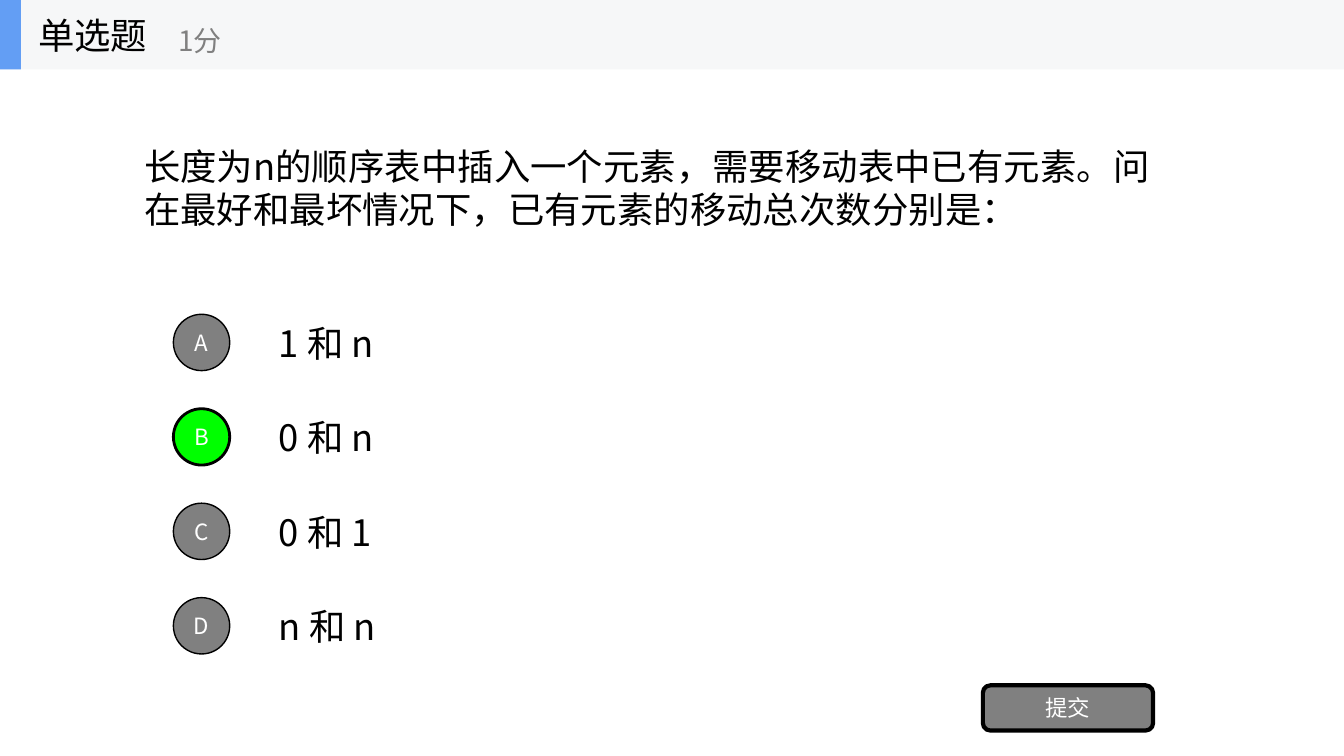
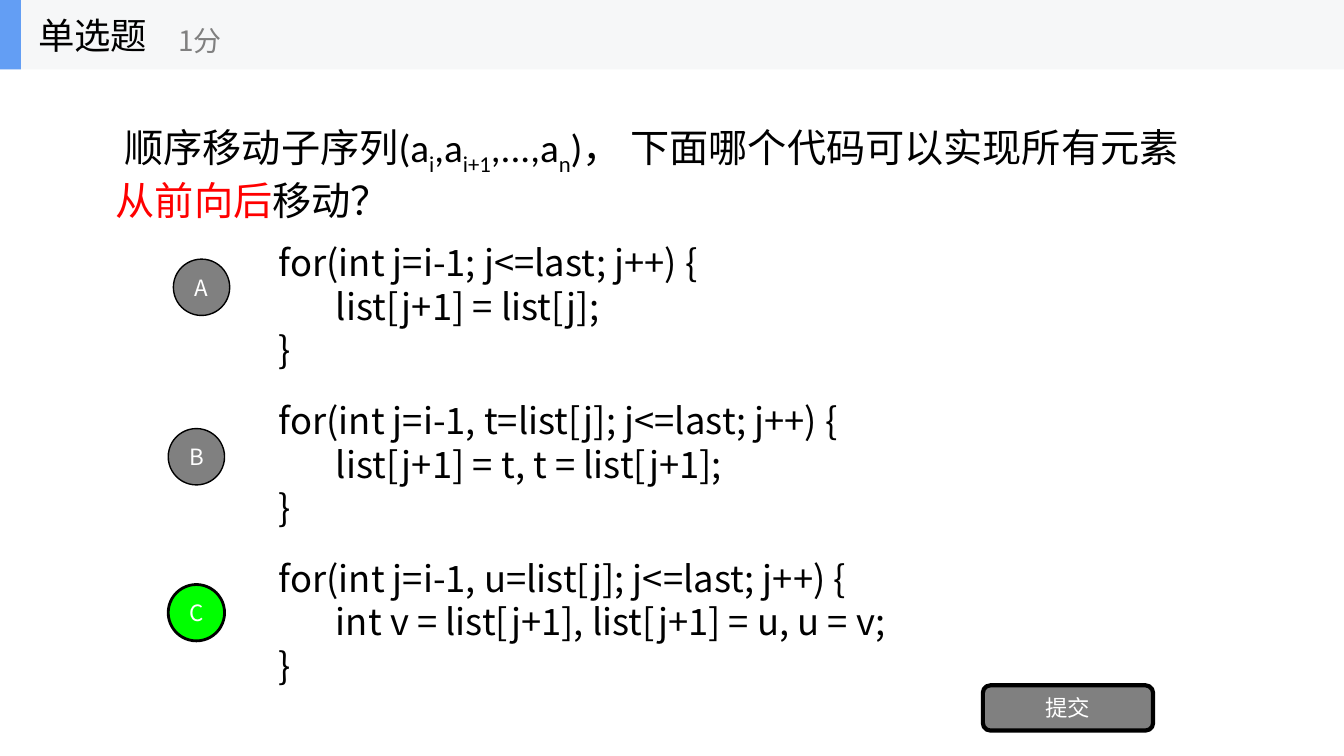
from lxml import etree
from pptx import Presentation
from pptx.dml.color import RGBColor
from pptx.enum.shapes import MSO_SHAPE
from pptx.enum.text import MSO_ANCHOR, PP_ALIGN
from pptx.oxml.ns import qn
from pptx.util import Cm, Pt

BLACK = RGBColor(0x00, 0x00, 0x00)
WHITE = RGBColor(0xFF, 0xFF, 0xFF)
GRAY = RGBColor(0x80, 0x80, 0x80)
GREEN = RGBColor(0x00, 0xFF, 0x00)
RED = RGBColor(0xFF, 0x00, 0x00)
BAND = RGBColor(0xF6, 0xF7, 0xF8)
ACCENT = RGBColor(0x63, 0x9E, 0xF4)

ELLIPSE, RECTANGLE, ROUNDED = MSO_SHAPE.OVAL, MSO_SHAPE.RECTANGLE, MSO_SHAPE.ROUNDED_RECTANGLE
CENTER, LEFT, MIDDLE = PP_ALIGN.CENTER, PP_ALIGN.LEFT, MSO_ANCHOR.MIDDLE

CJK_FONT, LATIN_FONT = "Noto Sans CJK SC", "Calibri"
PAGE_WIDTH, PAGE_HEIGHT = 33.87, 19.05
HEADER_HEIGHT = 1.75
OPTION_LEFT, OPTION_HEIGHT = 6.78, 1.78
BADGE_LEFT, BADGE_SIZE = 4.37, 1.42
SUBSCRIPT = "-25000"


class QuizDeck:
    def __init__(self):
        self.deck = Presentation()
        self.deck.slide_width, self.deck.slide_height = Cm(PAGE_WIDTH), Cm(PAGE_HEIGHT)
        self.page = None

    def fill_frame(self, frame, paragraphs, size, color=BLACK, name=CJK_FONT, align=LEFT):
        """Each paragraph is a string or a list of (text, format) spans."""
        frame.vertical_anchor = MIDDLE
        style = {"size": Pt(size), "name": name}
        for index, spans in enumerate(paragraphs):
            para = frame.add_paragraph() if index else frame.paragraphs[0]
            para.alignment = align
            if isinstance(spans, str):
                spans = [(spans, {})]
            for text, changes in spans:
                span = para.add_run()
                span.text = text
                for key, value in style.items():
                    setattr(span.font, key, value)
                span.font.color.rgb = changes.get("color", color)
                properties = span._r.get_or_add_rPr()
                etree.SubElement(properties, qn("a:ea")).set("typeface", CJK_FONT)
                if "baseline" in changes:
                    properties.set("baseline", changes["baseline"])

    def text(self, place, paragraphs, size, wrap=True, parent=None, **style):
        shapes = (parent or self.page).shapes
        box = shapes.add_textbox(*map(Cm, place))
        box.text_frame.word_wrap = wrap
        self.fill_frame(box.text_frame, paragraphs, size, **style)
        return box

    def shape(self, kind, place, fill, line_width=0, label=None, parent=None):
        shapes = (parent or self.page).shapes
        box = shapes.add_shape(kind, *map(Cm, place))
        box.shadow.inherit = False
        box.fill.solid()
        box.fill.fore_color.rgb = fill
        if line_width:
            box.line.color.rgb = BLACK
            box.line.width = Pt(line_width)
        else:
            box.line.fill.background()
        if label:
            frame = box.text_frame
            for side in ("left", "top", "right", "bottom"):
                setattr(frame, f"margin_{side}", 0)
            self.fill_frame(frame, [label], 16, WHITE, align=CENTER)

    def header(self):
        band = self.page.shapes.add_group_shape()
        self.shape(RECTANGLE, (0, 0, PAGE_WIDTH, HEADER_HEIGHT), BAND, parent=band)
        self.shape(RECTANGLE, (0, 0, 0.53, HEADER_HEIGHT), ACCENT, parent=band)
        self.text((0.71, 0, 5.28, HEADER_HEIGHT), ["单选题"], 26, wrap=False, parent=band)
        self.text((4.24, 0.3, 6.35, 1.42), ["1分"], 20, wrap=False, parent=band, color=GRAY)

    def new_page(self):
        self.page = self.deck.slides.add_slide(self.deck.slide_layouts[6])
        self.header()
        self.shape(ROUNDED, (24.77, 17.27, 4.29, 1.14), GRAY, 3, "提交")

    def option(self, letter, lines, top, badge_at, correct):
        self.text((OPTION_LEFT, top, 25.88, OPTION_HEIGHT), lines, 26)
        fill, line_width = (GREEN, 2) if correct else (GRAY, 1)
        self.shape(ELLIPSE, (*badge_at, BADGE_SIZE, BADGE_SIZE), fill, line_width, letter)


def add_length_question(quiz):
    quiz.new_page()
    quiz.text((3.38, 1.75, 26.19, 5.94),
              ["长度为n的顺序表中插入一个元素，需要移动表中已有元素。"
               "问在最好和最坏情况下，已有元素的移动总次数分别是："], 26)
    answers = ["1 和 n", "0 和 n", "0 和 1", "n 和 n"]
    for index, (letter, answer) in enumerate(zip("ABCD", answers)):
        top = 7.75 + 2.38 * index
        quiz.option(letter, [answer], top, (BADGE_LEFT, top + 0.17), letter == "B")


def add_code_question(quiz):
    quiz.new_page()
    low, red = {"baseline": SUBSCRIPT}, {"color": RED}
    question = [("顺序移动子序列(a", {}), ("i", low), (",a", {}), ("i+1", low),
                (",...,a", {}), ("n", low), (")， 下面哪个代码可以实现所有元素", {}),
                ("从前向后", red), ("移动？", {})]
    box = quiz.text((2.67, 1.4, 27.81, 5.94), [question], 28, name=LATIN_FONT)
    first_line = box.text_frame.paragraphs[0]._p.get_or_add_pPr()
    first_line.set("indent", str(Cm(0.22)))

    loops = [
        ("for(int j=i-1; j<=last; j++) {",
         "       list[j+1] = list[j];", "}"),
        ("for(int j=i-1, t=list[j]; j<=last; j++) {",
         "       list[j+1] = t, t = list[j+1];", "}"),
        ("for(int j=i-1, u=list[j]; j<=last; j++) {",
         "       int v = list[j+1], list[j+1] = u, u = v;", "}"),
    ]
    badges = [(BADGE_LEFT, 6.53), (4.24, 10.8), (4.24, 14.73)]
    for index, (letter, lines, badge_at) in enumerate(zip("ABC", loops, badges)):
        quiz.option(letter, lines, 6.81 + 3.98 * index, badge_at, letter == "C")


def main():
    quiz = QuizDeck()
    add_length_question(quiz)
    add_code_question(quiz)
    quiz.deck.save("out.pptx")


if __name__ == "__main__":
    main()
